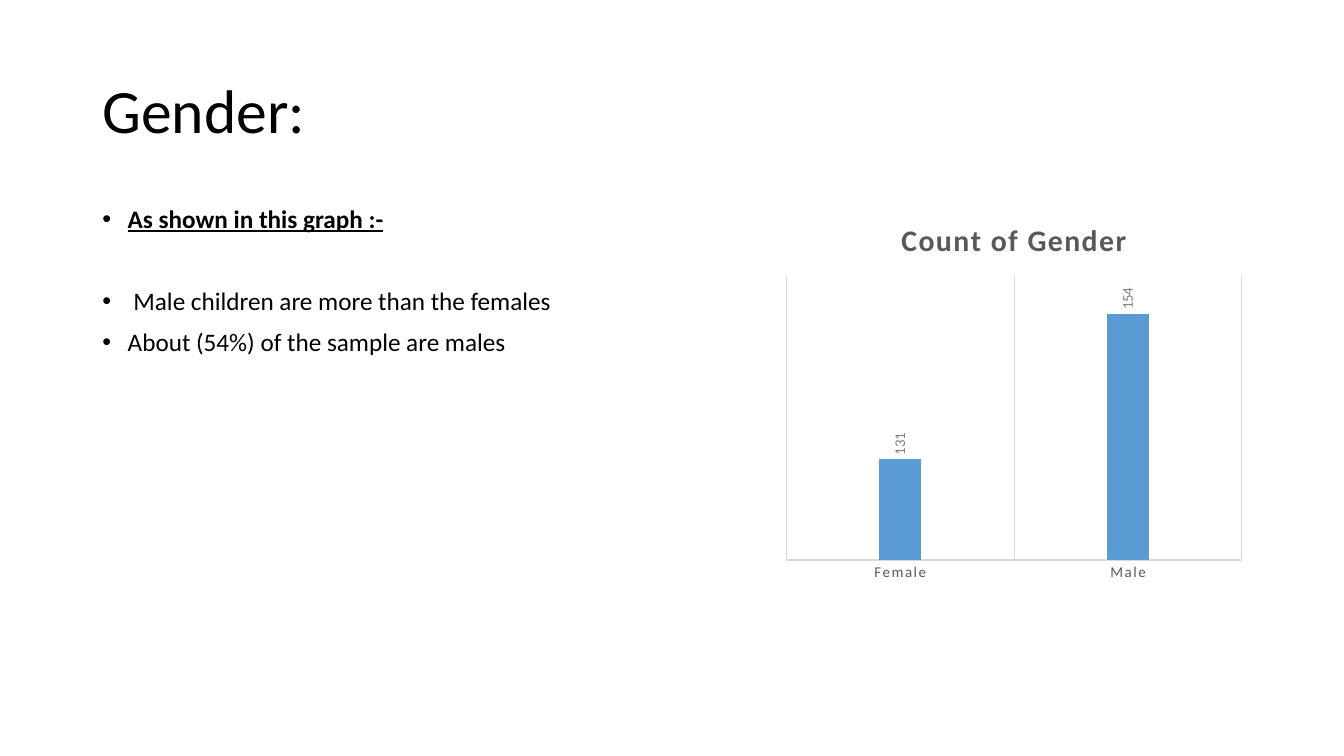
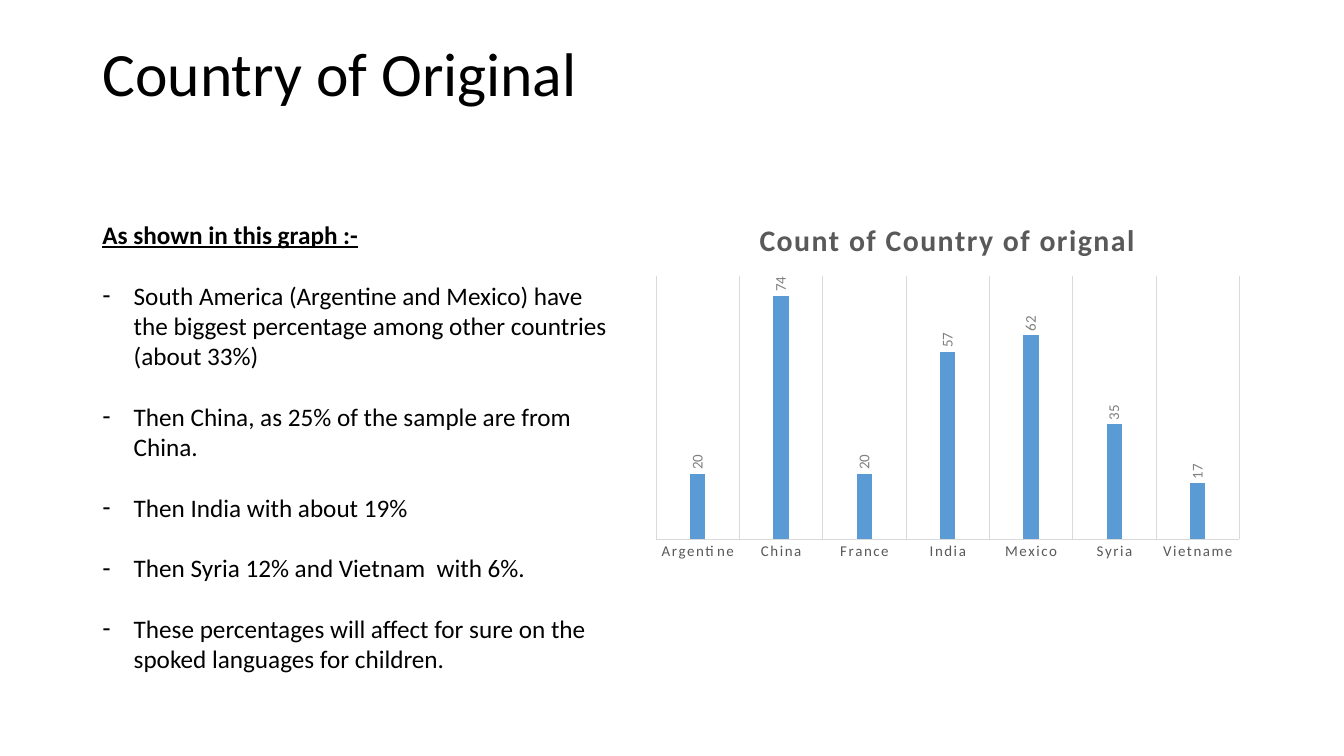
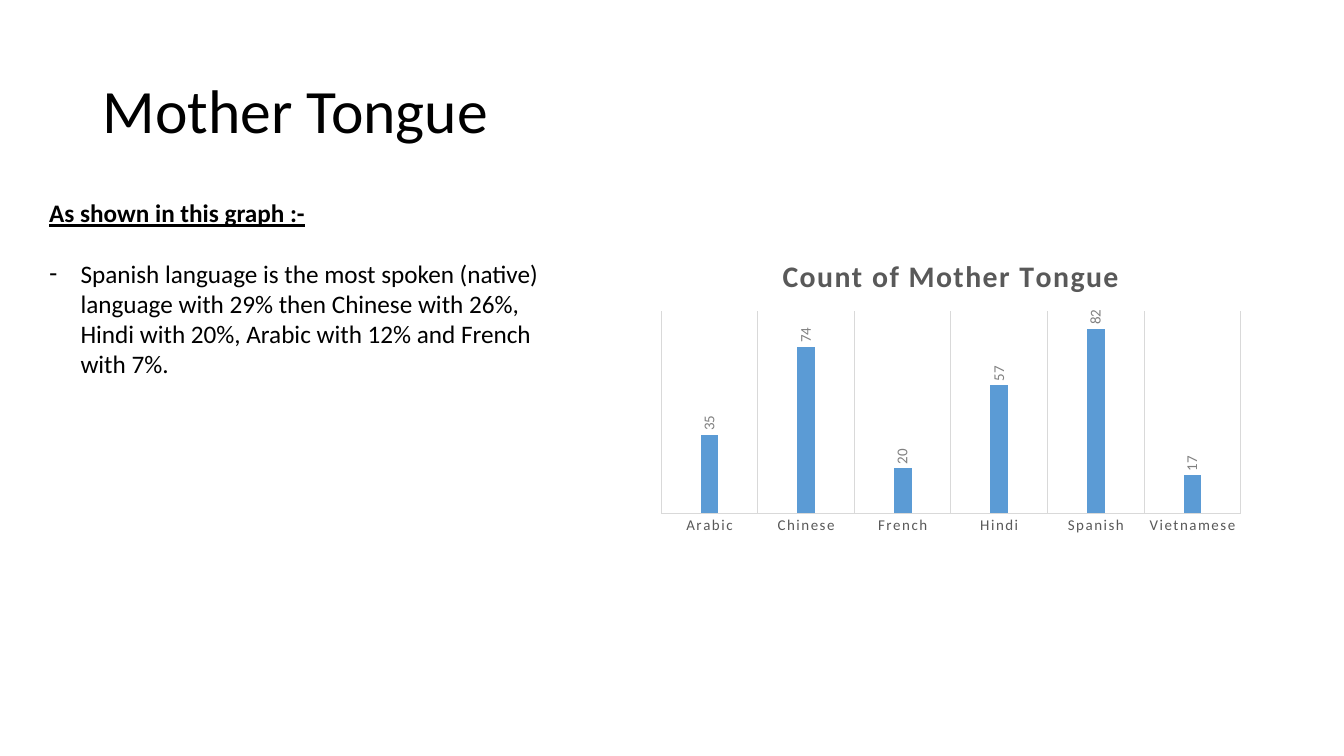
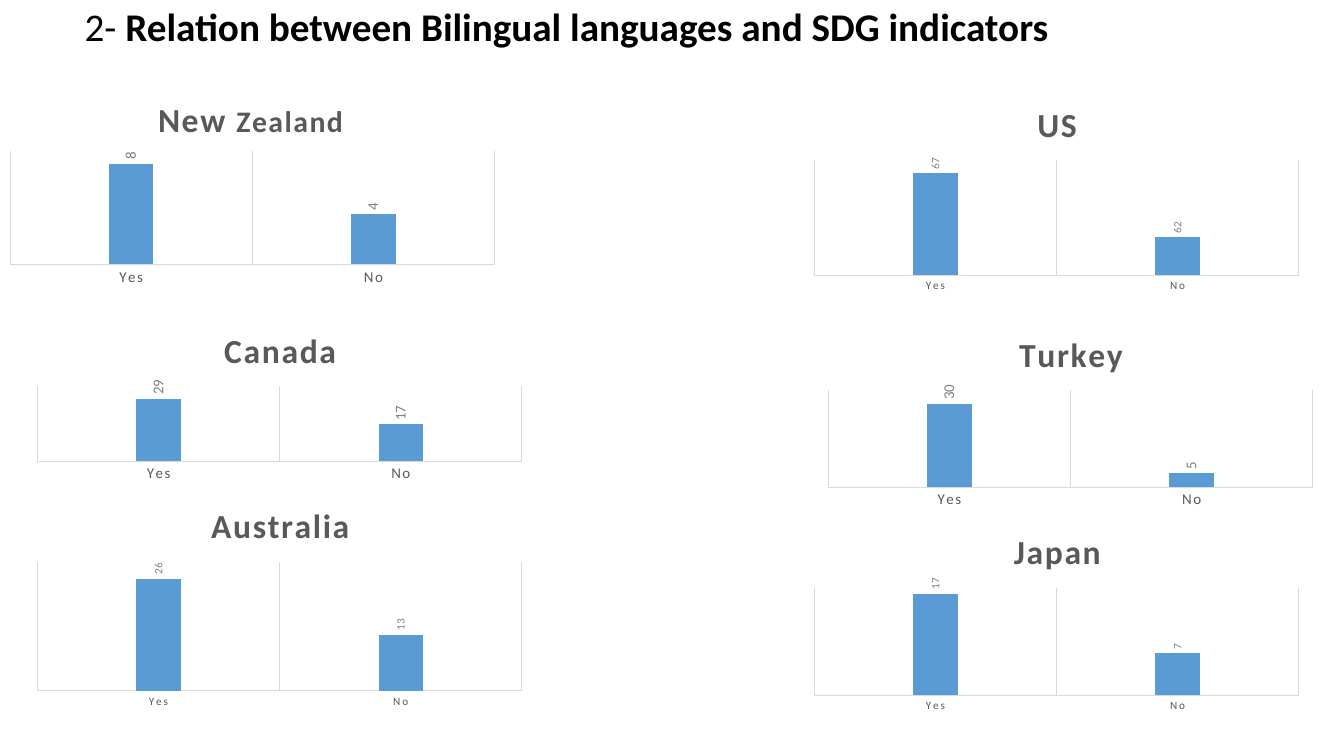
from typing import NamedTuple

from lxml.etree import Element, SubElement
from pptx import Presentation
from pptx.chart.data import CategoryChartData
from pptx.dml.color import RGBColor
from pptx.enum.chart import XL_CHART_TYPE as ChartType
from pptx.enum.chart import XL_LABEL_POSITION as LabelPosition
from pptx.enum.chart import XL_TICK_MARK as TickMark
from pptx.enum.text import MSO_ANCHOR as Anchor
from pptx.enum.text import MSO_AUTO_SIZE as AutoSize
from pptx.enum.text import PP_ALIGN as Align
from pptx.oxml.ns import qn
from pptx.util import Cm, Pt

FONT = "Calibri"
COLORS = {
    "text": "000000",
    "bar": "5B9BD5",
    "chart_text": "595959",
    "value_label": "808080",
    "grid": "D9D9D9",
}
TITLE_ONLY = 5
HEADING = "As shown in this graph :-"
CHART_TITLE_SIZE = 21.28
LABEL_SIZE = 10.64
SMALL_LABEL_SIZE = 8
SIDE_MARGIN = 0.02
TITLE_PADDING = 0.12
LETTER_SPACING = "120"


class Box(NamedTuple):
    left: float
    top: float
    width: float
    height: float

    def lengths(self):
        return [Cm(value) for value in self]


class ChartTitle(NamedTuple):
    runs: list
    width: float
    top: float = 0.25
    plot_top: float = 1.88


TITLE_BOX = Box(2.33, 1.02, 29.21, 3.68)


def color(name):
    return RGBColor.from_string(COLORS[name])


def style_font(font, size, color_name, bold=False):
    font.name = FONT
    font.size = Pt(size)
    font.bold = bold
    font.color.rgb = color(color_name)


def add_run(paragraph, text, size, color_name="text", bold=False):
    run = paragraph.add_run()
    run.text = text
    style_font(run.font, size, color_name, bold)
    return run


def add_titled_slide(presentation, runs, box=TITLE_BOX, size=44):
    slide = presentation.slides.add_slide(presentation.slide_layouts[TITLE_ONLY])
    title = slide.shapes.title
    title.left, title.top, title.width, title.height = box.lengths()
    frame = title.text_frame
    frame.auto_size = AutoSize.NONE
    frame.word_wrap = True
    frame.vertical_anchor = Anchor.MIDDLE
    paragraph = frame.paragraphs[0]
    paragraph.alignment = Align.LEFT
    paragraph.line_spacing = 0.9
    for text, bold in runs:
        add_run(paragraph, text, size, bold=bold)
    return slide


def set_bullet(paragraph, character, indent):
    properties = paragraph._p.get_or_add_pPr()
    properties.set("marL", str(Cm(indent)))
    properties.set("indent", str(-Cm(indent)))
    SubElement(properties, qn("a:buFont"), typeface="Arial")
    SubElement(properties, qn("a:buChar"), char=character)


def add_findings(slide, box, findings, bullet="-", indent=0.79,
                 line_spacing=1.0, gaps=None, bullet_heading=False):
    frame = slide.shapes.add_textbox(*box.lengths()).text_frame
    frame.word_wrap = True
    gaps = gaps or [21.7] * len(findings)
    for index, text in enumerate([HEADING, *findings]):
        is_heading = index == 0
        paragraph = frame.add_paragraph() if index else frame.paragraphs[0]
        paragraph.line_spacing = line_spacing
        paragraph.space_before = Pt(0 if is_heading else gaps[index - 1])
        if bullet_heading or not is_heading:
            set_bullet(paragraph, bullet, indent)
        run = add_run(paragraph, text, 18, bold=is_heading)
        run.font.underline = is_heading


def set_layout(parent, position, **settings):
    for old_layout in parent.findall(qn("c:layout")):
        parent.remove(old_layout)
    layout = Element(qn("c:layout"))
    manual = SubElement(layout, qn("c:manualLayout"))
    for name, value in settings.items():
        SubElement(manual, qn(f"c:{name}"), val=str(value))
    parent.insert(position, layout)


def add_chart_title(chart, box, title, size):
    frame = chart.chart_title.text_frame
    paragraph = frame.paragraphs[0]
    for text, run_size in title.runs:
        run = add_run(paragraph, text, run_size or size, "chart_text", bold=True)
        run._r.get_or_add_rPr().set("spc", LETTER_SPACING)
    chart.chart_title.include_in_layout = False
    set_layout(
        chart.chart_title._element, 1,
        xMode="edge", yMode="edge",
        x=round(0.5 - (title.width / 2 + TITLE_PADDING) / box.width, 4),
        y=round(title.top / box.height, 4),
    )


def add_count_chart(slide, box, title, counts, value_range,
                    title_size=CHART_TITLE_SIZE, label_size=LABEL_SIZE):
    data = CategoryChartData()
    data.categories = list(counts)
    data.add_series("Series 1", list(counts.values()))
    chart = slide.shapes.add_chart(
        ChartType.COLUMN_CLUSTERED, *box.lengths(), data).chart
    style_font(chart.font, 10, "text")
    chart.has_legend = False
    add_chart_title(chart, box, title, title_size)

    plot = chart.plots[0]
    plot.gap_width = 444
    plot.overlap = -90
    plot.vary_by_categories = False
    bars = plot.series[0].format.fill
    bars.solid()
    bars.fore_color.rgb = color("bar")

    plot.has_data_labels = True
    labels = plot.data_labels
    labels.show_value = True
    labels.position = LabelPosition.OUTSIDE_END
    style_font(labels.font, label_size, "value_label")
    label_body = labels._element.find(f"{qn('c:txPr')}/{qn('a:bodyPr')}")
    label_body.set("rot", "-5400000")
    label_body.set("vert", "horz")

    value_axis = chart.value_axis
    value_axis.minimum_scale, value_axis.maximum_scale = value_range
    value_axis.has_major_gridlines = False
    value_axis.visible = False

    category_axis = chart.category_axis
    category_axis.major_tick_mark = TickMark.NONE
    category_axis.minor_tick_mark = TickMark.NONE
    category_axis.has_major_gridlines = True
    for line in (category_axis.format.line,
                 category_axis.major_gridlines.format.line):
        line.color.rgb = color("grid")
        line.width = Pt(0.75)
    style_font(category_axis.tick_labels.font, label_size, "chart_text")
    for properties in category_axis._element.iter(qn("a:defRPr")):
        properties.set("spc", LETTER_SPACING)

    label_band = 0.44 if label_size == SMALL_LABEL_SIZE else 0.55
    plot_height = box.height * (1 - SIDE_MARGIN) - label_band - title.plot_top
    plot_area = chart._chartSpace.find(f"{qn('c:chart')}/{qn('c:plotArea')}")
    set_layout(
        plot_area, 0,
        layoutTarget="inner", xMode="edge", yMode="edge",
        x=SIDE_MARGIN, y=round(title.plot_top / box.height, 4),
        w=0.9615, h=round(plot_height / box.height, 4),
    )


def build_gender(presentation):
    slide = add_titled_slide(presentation, [("Gender:", False)])
    add_findings(
        slide, Box(2.33, 5.08, 29.21, 12.09),
        [" Male children are more than the females",
         "About (54%) of the sample are males"],
        bullet="•", indent=0.64, line_spacing=0.9, gaps=[39.2, 10],
        bullet_heading=True)
    add_count_chart(
        slide, Box(19.58, 5.08, 11.94, 9.78),
        ChartTitle([("Count of Gender", None)], 5.7, 0.33),
        {"Female": 131, "Male": 154}, (115, 160))


def build_country(presentation):
    slide = add_titled_slide(
        presentation, [("Country of Original", False)],
        TITLE_BOX._replace(top=0.08))
    add_count_chart(
        slide, Box(16.23, 5.08, 15.29, 9.25),
        ChartTitle([("Count of Country of orignal", None)], 9.5, 0.33),
        {"Argentine": 20, "China": 74, "France": 20, "India": 57,
         "Mexico": 62, "Syria": 35, "Vietname": 17}, (0, 80))
    add_findings(
        slide, Box(2.33, 5.4, 13.26, 13.34),
        ["South America (Argentine and Mexico) have the biggest percentage "
         "among other countries (about 33%)",
         "Then China, as 25% of the sample are from China.",
         "Then India with about 19%",
         "Then Syria 12% and Vietnam  with 6%.",
         "These percentages will affect for sure on the spoked languages "
         "for children."])


def build_mother_tongue(presentation):
    slide = add_titled_slide(presentation, [("Mother Tongue", False)])
    add_count_chart(
        slide, Box(16.36, 6.02, 15.19, 7.62),
        ChartTitle([("Count of Mother Tongue", None)], 8.5, 0.28, 1.82),
        {"Arabic": 35, "Chinese": 74, "French": 20, "Hindi": 57,
         "Spanish": 82, "Vietnamese": 17}, (0, 90))
    add_findings(
        slide, Box(0.99, 4.85, 13.26, 7.95),
        ["Spanish language is the most spoken (native) language with 29% "
         "then Chinese with 26%, Hindi with 20%, Arabic with 12% and French "
         "with 7%."])


def build_indicators(presentation):
    slide = add_titled_slide(
        presentation,
        [("2- ", False),
         ("Relation between Bilingual languages and SDG indicators", True)],
        Box(1.88, 0, 29.21, 1.46), size=28)
    new_zealand = ChartTitle(
        [("New ", None), ("Zealand", CHART_TITLE_SIZE)], 4.65, 0.26, 1.65)
    canada = ChartTitle([("Canada", None)], 2.84, 0.23, 1.85)
    small, normal = SMALL_LABEL_SIZE, LABEL_SIZE
    countries = [
        (20.27, 2.16, 5.33, ChartTitle([("US", None)], 1.02), 67, 62, (59, 68), small),
        (20.62, 7.95, 4.98, ChartTitle([("Turkey", None)], 2.64), 30, 5, (0, 35), normal),
        (0, 2.16, 5.16, new_zealand, 8, 4, (0, 9), normal),
        (20.27, 12.93, 5.13, ChartTitle([("Japan", None)], 2.2), 17, 7, (0, 18), small),
        (0.69, 7.87, 4.39, canada, 29, 17, (0, 35), normal),
        (0.69, 12.27, 5.69, ChartTitle([("Australia", None)], 3.5), 26, 13, (0, 30), small),
    ]
    for left, top, height, title, yes, no, value_range, label_size in countries:
        add_count_chart(
            slide, Box(left, top, 12.7, height), title,
            {"Yes": yes, "No": no}, value_range,
            title_size=24, label_size=label_size)


def main():
    presentation = Presentation()
    presentation.slide_width = Cm(33.87)
    presentation.slide_height = Cm(19.05)
    build_gender(presentation)
    build_country(presentation)
    build_mother_tongue(presentation)
    build_indicators(presentation)
    presentation.save("out.pptx")


if __name__ == "__main__":
    main()
